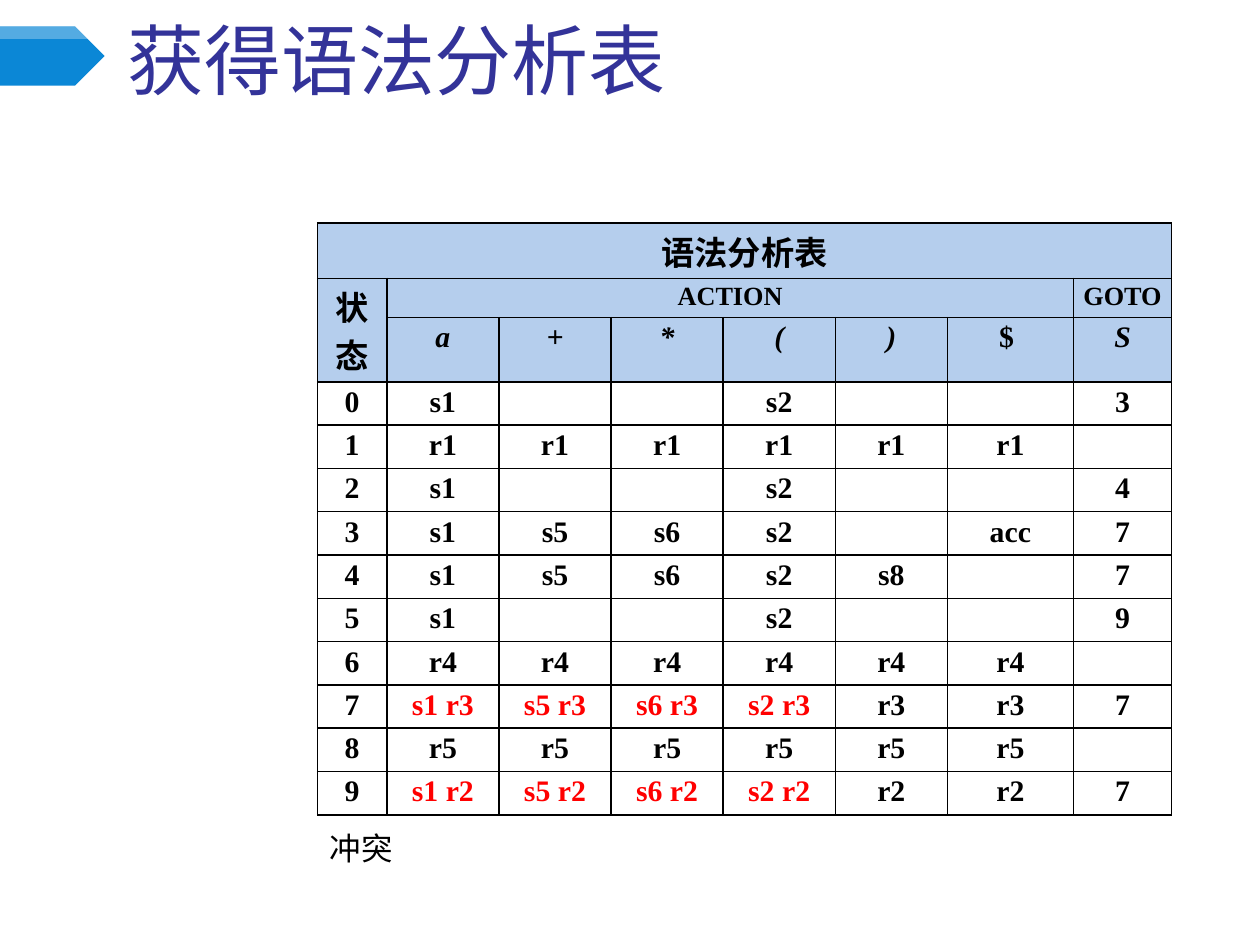
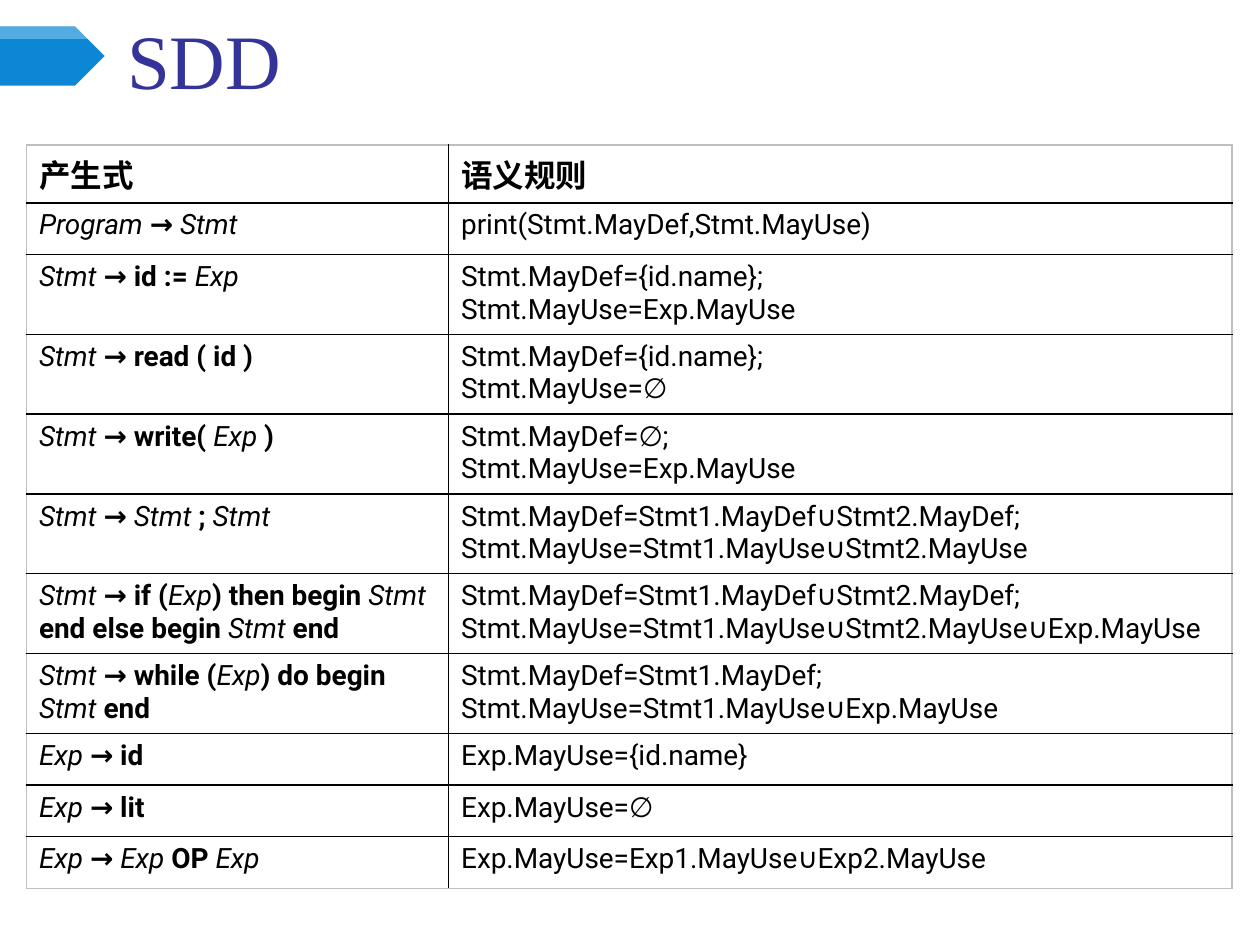
"""Build two compiler slides: an SLR parsing table and a syntax-directed definition."""
from lxml.etree import SubElement
from pptx import Presentation
from pptx.dml.color import RGBColor
from pptx.enum.shapes import MSO_SHAPE as Shape
from pptx.enum.text import MSO_ANCHOR as Anchor, PP_ALIGN as Align
from pptx.oxml.ns import qn
from pptx.util import Inches, Pt

SERIF, SANS, CHINESE = "Times New Roman", "Roboto", "Noto Sans CJK SC"
BLACK, WHITE, RED, GREY = "000000", "FFFFFF", "FF0000", "BFBFBF"
BLUE, TITLE_BLUE, HEADER_BLUE = "0B87D6", "333399", "B5CEED"
rgb = RGBColor.from_string


def add_text(paragraph, text, size, name, color=BLACK, bold=False, italic=False):
    """Append a formatted run to a paragraph."""
    run = paragraph.add_run()
    run.text = text
    font = run.font
    font.size, font.bold, font.italic = Pt(size), bold, italic
    font.color.rgb = rgb(color)
    font.name = name
    SubElement(run._r.get_or_add_rPr(), qn("a:ea"), typeface=CHINESE)


def format_cell(cell, fill, edges):
    """Draw left, right, top and bottom borders and fill the cell."""
    properties = cell._tc.get_or_add_tcPr()
    for side, color in zip("LRTB", edges):
        line = SubElement(properties, qn(f"a:ln{side}"), w=str(Pt(1)))
        solid = SubElement(line, qn("a:solidFill"))
        SubElement(solid, qn("a:srgbClr"), val=color)
    cell.fill.solid()
    cell.fill.fore_color.rgb = rgb(fill)


presentation = Presentation()
presentation.slide_width, presentation.slide_height = Inches(10), Inches(7.5)

slides = []
for title in ("获得语法分析表", "SDD"):
    slide = presentation.slides.add_slide(presentation.slide_layouts[6])
    slides.append(slide)
    arrow = slide.shapes.add_shape(
        Shape.PENTAGON, Inches(0), Inches(0.21), Inches(0.83), Inches(0.47))
    builder = slide.shapes.build_freeform(0, Inches(0.21), scale=1.0)
    corners = [(0.6, 0.21), (0.7, 0.31), (0, 0.31)]
    builder.add_line_segments([(Inches(x), Inches(y)) for x, y in corners])
    highlight = builder.convert_to_shape()
    for shape, color in ((arrow, BLUE), (highlight, WHITE)):
        shape.shadow.inherit = False
        shape.fill.solid()
        shape.fill.fore_color.rgb = rgb(color)
        shape.line.fill.background()
    white = highlight._element.spPr.find(qn("a:solidFill"))[0]
    SubElement(white, qn("a:alpha"), val="30000")
    title_box = slide.shapes.add_textbox(
        Inches(0.91), Inches(0.18), Inches(8.88), Inches(0.7))
    title_box.text_frame.word_wrap = True
    title_box.text_frame.vertical_anchor = Anchor.BOTTOM
    add_text(title_box.text_frame.paragraphs[0], title, 44, SERIF, TITLE_BLUE)

parsing_slide, sdd_slide = slides

parsing_rows = [
    ["语法分析表"] + [""] * 7,
    ["状态", "ACTION"] + [""] * 5 + ["GOTO"],
    ["", "a", "+", "*", "(", ")", "$ ", "S"],
    ["0", "s1", "", "", "s2", "", "", "3"],
    ["1"] + ["r1"] * 6 + [""],
    ["2", "s1", "", "", "s2", "", "", "4"],
    ["3", "s1", "s5", "s6", "s2", "", "acc", "7"],
    ["4", "s1", "s5", "s6", "s2", "s8", "", "7"],
    ["5", "s1", "", "", "s2", "", "", "9"],
    ["6"] + ["r4"] * 6 + [""],
    ["7", "s1 r3", "s5 r3", "s6 r3", "s2 r3", "r3", "r3", "7"],
    ["8"] + ["r5"] * 6 + [""],
    ["9", "s1 r2", "s5 r2", "s6 r2", "s2 r2", "r2", "r2", "7"],
]
parsing_widths = [0.55] + [0.89] * 5 + [1, 0.78]
parsing_heights = [0.44, 0.31, 0.51] + [0.33] * 10

productions = [
    ("Program| → |Stmt", ["print(Stmt.MayDef,Stmt.MayUse)"]),
    ("Stmt| → id := |Exp", ["Stmt.MayDef={id.name};", "Stmt.MayUse=Exp.MayUse"]),
    ("Stmt| → read ( id )", ["Stmt.MayDef={id.name};", "Stmt.MayUse=∅"]),
    ("Stmt| → write( |Exp| )", ["Stmt.MayDef=∅;", "Stmt.MayUse=Exp.MayUse"]),
    ("Stmt| → |Stmt| ; |Stmt",
     ["Stmt.MayDef=Stmt1.MayDef∪Stmt2.MayDef;", "Stmt.MayUse=Stmt1.MayUse∪Stmt2.MayUse"]),
    ("Stmt| → if (|Exp|) then begin |Stmt| end else begin |Stmt| end",
     ["Stmt.MayDef=Stmt1.MayDef∪Stmt2.MayDef;",
      "Stmt.MayUse=Stmt1.MayUse∪Stmt2.MayUse∪Exp.MayUse"]),
    ("Stmt| → while (|Exp|) do begin |Stmt| end",
     ["Stmt.MayDef=Stmt1.MayDef;", "Stmt.MayUse=Stmt1.MayUse∪Exp.MayUse"]),
    ("Exp| → id", ["Exp.MayUse={id.name}"]),
    ("Exp| → lit", ["Exp.MayUse=∅"]),
    ("Exp| → |Exp| OP |Exp", ["Exp.MayUse=Exp1.MayUse∪Exp2.MayUse"]),
]
sdd_widths = [3.35, 6.22]
sdd_heights = [0.46] + [0.41 if len(rules) == 1 else 0.62 for _, rules in productions]

tables = []
for slide, left, top, widths, heights in (
        (parsing_slide, 2.52, 1.77, parsing_widths, parsing_heights),
        (sdd_slide, 0.21, 1.15, sdd_widths, sdd_heights)):
    table = slide.shapes.add_table(
        len(heights), len(widths), Inches(left), Inches(top),
        Inches(sum(widths)), Inches(sum(heights))).table
    table.first_row = table.horz_banding = False
    for column, width in zip(table.columns, widths):
        column.width = Inches(width)
    for row, height in zip(table.rows, heights):
        row.height = Inches(height)
    tables.append(table)
parsing_table, sdd_table = tables

for row_index, texts in enumerate(parsing_rows):
    for column_index, text in enumerate(texts):
        cell = parsing_table.cell(row_index, column_index)
        cell.margin_left = cell.margin_right = Inches(0.07)
        cell.margin_top = cell.margin_bottom = Inches(0.03)
        format_cell(cell, HEADER_BLUE if row_index < 3 else WHITE, [BLACK] * 4)
        paragraph = cell.text_frame.paragraphs[0]
        paragraph.alignment = Align.CENTER
        if not text:
            SubElement(paragraph._p, qn("a:endParaRPr"), sz="1700")
        elif text in ("语法分析表", "状态"):
            cell.vertical_anchor = Anchor.MIDDLE
            add_text(paragraph, text, 19, CHINESE, bold=True)
        else:
            add_text(paragraph, text, 15 if row_index == 1 else 17, SERIF,
                     RED if " r" in text else BLACK, bold=True,
                     italic=row_index == 2 and text != "$ ")
for first, last in (((0, 0), (0, 7)), ((1, 0), (2, 0)), ((1, 1), (1, 6))):
    parsing_table.cell(*first).merge(parsing_table.cell(*last))

conflict_box = parsing_slide.shapes.add_textbox(
    Inches(2.52), Inches(6.53), Inches(5.57), Inches(0.4))
conflict_box.text_frame.word_wrap = True
add_text(conflict_box.text_frame.paragraphs[0], "冲突", 18, SANS)

last_row = len(productions)
for row_index in range(last_row + 1):
    top_edge = GREY if row_index == 0 else BLACK
    bottom_edge = GREY if row_index == last_row else BLACK
    format_cell(sdd_table.cell(row_index, 0), WHITE, [GREY, BLACK, top_edge, bottom_edge])
    format_cell(sdd_table.cell(row_index, 1), WHITE, [BLACK, GREY, top_edge, bottom_edge])

for column_index, heading in enumerate(("产生式", "语义规则")):
    paragraph = sdd_table.cell(0, column_index).text_frame.paragraphs[0]
    add_text(paragraph, heading, 18, CHINESE, bold=True)

for row_index, (production, rules) in enumerate(productions, 1):
    paragraph = sdd_table.cell(row_index, 0).text_frame.paragraphs[0]
    for part_index, part in enumerate(production.split("|")):
        is_terminal = part_index % 2 == 1
        add_text(paragraph, part, 16, SANS, bold=is_terminal, italic=not is_terminal)
    text_frame = sdd_table.cell(row_index, 1).text_frame
    for rule_index, rule in enumerate(rules):
        paragraph = text_frame.add_paragraph() if rule_index else text_frame.paragraphs[0]
        add_text(paragraph, rule, 16, SANS)

presentation.save("out.pptx")
